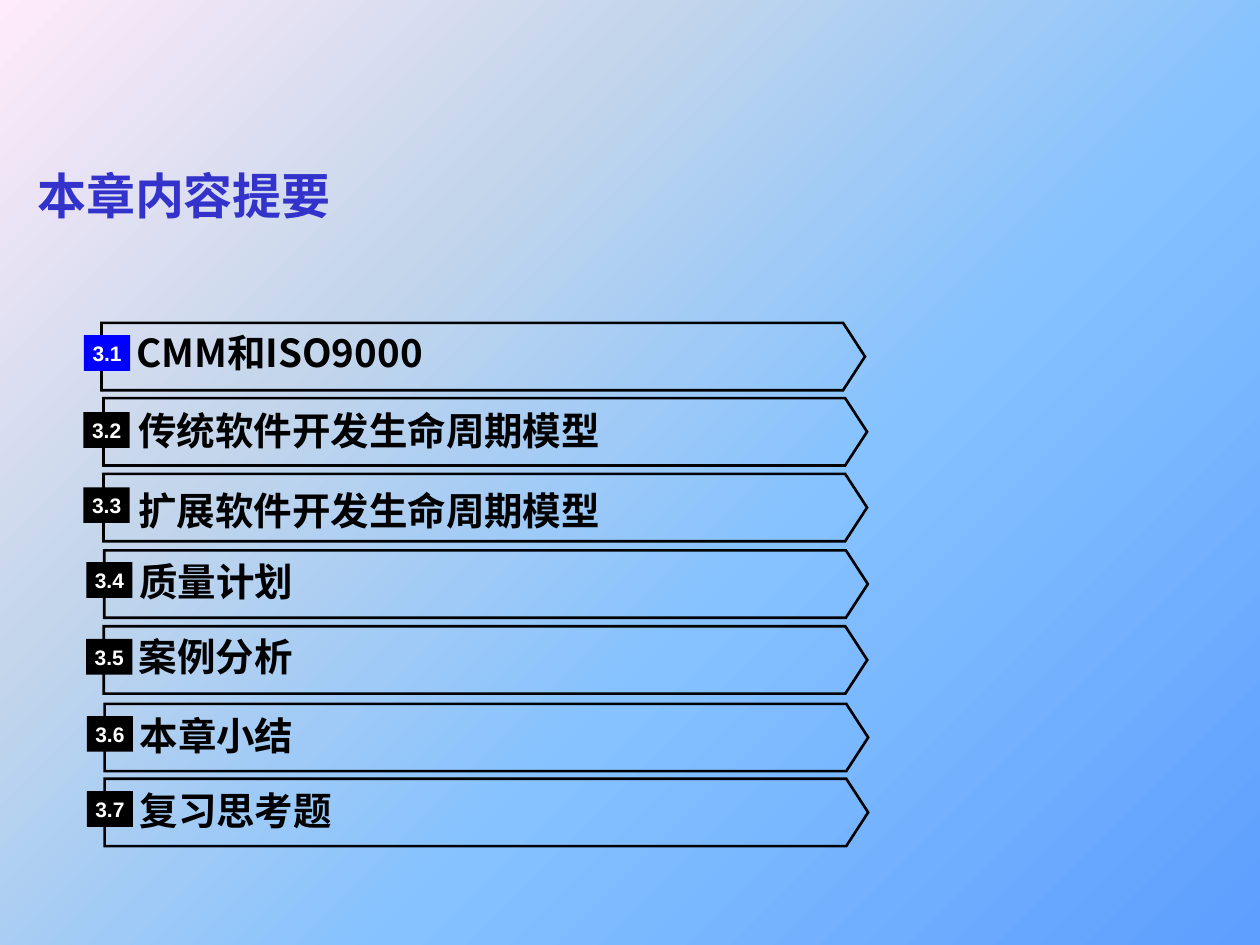
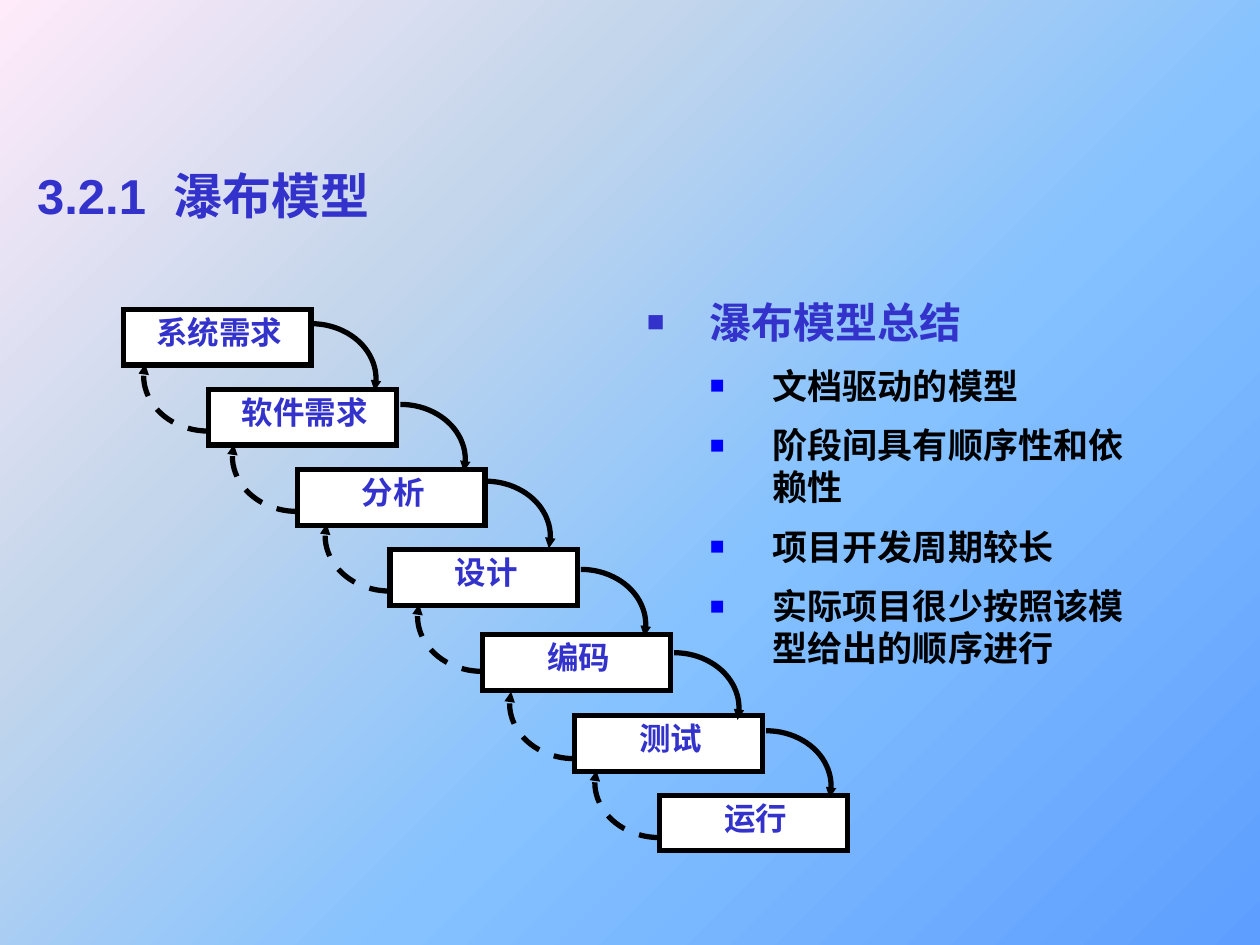
from math import cos, radians, sin

from lxml.etree import SubElement
from pptx import Presentation
from pptx.dml.color import RGBColor
from pptx.enum.dml import MSO_LINE
from pptx.enum.shapes import MSO_SHAPE
from pptx.enum.text import MSO_ANCHOR, PP_ALIGN
from pptx.oxml import parse_xml
from pptx.oxml.ns import nsdecls, qn
from pptx.util import Pt

TITLE_BLUE, BULLET_BLUE, BLACK, WHITE = "3333CC", "0000FF", "000000", "FFFFFF"
CJK_FONT = "Noto Sans CJK SC"
BACKGROUND = [(0, "5E9EFF"), (40, "85C2FF"), (70, "C4D6EB"), (100, "FFEBFA")]


def write(paragraph, text, size, colour, font, align=PP_ALIGN.LEFT):
    """Fill a paragraph with bold text in one style."""
    paragraph.text = text
    paragraph.alignment = align
    paragraph.font.size = Pt(size)
    paragraph.font.bold = True
    paragraph.font.color.rgb = RGBColor.from_string(colour)
    paragraph.font.name = font
    defaults = paragraph._p.pPr.find(qn("a:defRPr"))
    SubElement(defaults, qn("a:ea")).set("typeface", CJK_FONT)
    return defaults


def add_box(page, kind, left, top, width, height, fill=None, line=0, inset=0):
    """Add a shape, or a text box when kind is None."""
    place = Pt(left), Pt(top), Pt(width), Pt(height)
    if kind is None:
        box = page.shapes.add_textbox(*place)
    else:
        box = page.shapes.add_shape(kind, *place)
        box.shadow.inherit = False
        if fill:
            box.fill.solid()
            box.fill.fore_color.rgb = RGBColor.from_string(fill)
        else:
            box.fill.background()
        if line:
            box.line.color.rgb = RGBColor.from_string(BLACK)
            box.line.width = Pt(line)
            SubElement(box.line._get_or_add_ln(), qn("a:miter"), lim="800000")
        else:
            box.line.fill.background()
    frame = box.text_frame
    frame.word_wrap = True
    frame.vertical_anchor = MSO_ANCHOR.MIDDLE
    frame.margin_left = frame.margin_right = Pt(inset)
    frame.margin_top = frame.margin_bottom = Pt(inset / 2)
    return box


deck = Presentation()
deck.slide_width, deck.slide_height = Pt(720), Pt(540)

# Shared background: diagonal gradient on the master
background = deck.slide_master.background.fill
background.gradient()
gradient = deck.slide_master._element.find(".//" + qn("a:gradFill"))
stops = gradient.find(qn("a:gsLst"))
for stop in list(stops):
    stops.remove(stop)
for position, colour in BACKGROUND:
    stop = SubElement(stops, qn("a:gs"), pos=str(position * 1000))
    SubElement(stop, qn("a:srgbClr"), val=colour)
direction = gradient.find(qn("a:lin"))
direction.set("ang", str(225 * 60000))
direction.set("scaled", "0")

# Both pages with their titles
pages = []
for title in ["本章内容提要", "3.2.1  瀑布模型"]:
    page = deck.slides.add_slide(deck.slide_layouts[6])
    box = add_box(page, None, 14.2, 83.4, 692, 56.5, inset=7.2)
    write(box.text_frame.paragraphs[0], title, 28, TITLE_BLUE, "Arial")
    pages.append(page)
contents, waterfall = pages

# Contents: section, plate left and top, badge left and top, text top
sections = [
    ("CMM和ISO9000", 58, 184.5, 48, 191.5, 187),
    ("传统软件开发生命周期模型", 59.2, 227.5, 47.7, 235.6, 231.6),
    ("扩展软件开发生命周期模型", 59.2, 270.8, 47.7, 278.5, 277),
    ("质量计划", 59.6, 314.5, 49.3, 321.3, 317.5),
    ("案例分析", 59.3, 357.9, 49.2, 365.1, 360.6),
    ("本章小结", 59.8, 402.2, 49.6, 409.2, 405.4),
    ("复习思考题", 59.8, 445, 49.6, 452.1, 448.3),
]
for number, section in enumerate(sections, 1):
    name, left, top, badge_left, badge_top, text_top = section
    plate = add_box(contents, MSO_SHAPE.PENTAGON, left, top, 436.3, 38.5, line=1.5)
    plate.adjustments[0] = 0.325
    label = add_box(contents, None, left + 20, text_top, 387.4, 28.8)
    font = CJK_FONT if number == 1 else "Times New Roman"
    write(label.text_frame.paragraphs[0], name, 22, BLACK, font)
    badge = add_box(contents, MSO_SHAPE.RECTANGLE, badge_left, badge_top, 26.4, 20.4,
                    fill=BULLET_BLUE if number == 1 else BLACK)
    write(badge.text_frame.paragraphs[0], f"3.{number}", 12, WHITE, "Arial",
          PP_ALIGN.CENTER)

# Waterfall: stage, box left and top
stages = [
    ("系统需求", 70.5, 176.9), ("软件需求", 119.2, 222.7), ("分析", 169.9, 268.5),
    ("设计", 222.9, 314.2), ("编码", 275.7, 362.8), ("测试", 328.3, 409),
    ("运行", 377, 454.5),
]
for name, left, top in stages:
    box = add_box(waterfall, MSO_SHAPE.RECTANGLE, left, top, 107.3, 31.7,
                  fill=WHITE, line=3)
    box.text_frame.margin_left = Pt(2.5)
    box.text_frame.margin_bottom = Pt(6.5)
    write(box.text_frame.paragraphs[0], name, 18, TITLE_BLUE, "Times New Roman",
          PP_ALIGN.CENTER)

# Arcs: start of each step forward, height of each dashed step back
forward = [(177.8, 185), (228.8, 231.1), (277.4, 275), (331.9, 325.4),
           (385.2, 373), (437.8, 417.6)]
back = [246.4, 292.3, 337.8, 383.7, 433.6, 478.7]
radius_x, radius_y, sweep, steps = 37.1, 31.6, 102.4, 24
for (start_x, start_y), (_, next_left, _), back_y in zip(forward, stages[1:], back):
    for centre_x, centre_y, start, dashed in [
        (start_x, start_y + radius_y, -90, False),
        (next_left, back_y - radius_y, 90, True),
    ]:
        angles = [radians(start + sweep * step / steps) for step in range(steps + 1)]
        points = [(Pt(centre_x + radius_x * cos(angle)),
                   Pt(centre_y + radius_y * sin(angle))) for angle in angles]
        builder = waterfall.shapes.build_freeform(*points[0])
        builder.add_line_segments(points[1:], close=False)
        arc = builder.convert_to_shape()
        arc.shadow.inherit = False
        arc.fill.background()
        arc.line.color.rgb = RGBColor.from_string(BLACK)
        arc.line.width = Pt(3)
        if dashed:
            arc.line.dash_style = MSO_LINE.DASH
        SubElement(arc.line._get_or_add_ln(), qn("a:tailEnd"),
                   type="triangle", w="sm", len="sm")

# Summary list: text, level
summary = [
    ("瀑布模型总结", 0), ("文档驱动的模型", 1), ("阶段间具有顺序性和依赖性", 1),
    ("项目开发周期较长", 1), ("实际项目很少按照该模型给出的顺序进行", 1),
]
box = add_box(waterfall, None, 362.5, 165.6, 289.4, 228, inset=7.2)
frame = box.text_frame
frame.vertical_anchor = MSO_ANCHOR.TOP
for index, (text, level) in enumerate(summary):
    paragraph = frame.add_paragraph() if index else frame.paragraphs[0]
    size, colour, font, bullet_colour, spacing = [
        (24, TITLE_BLUE, "Times New Roman", TITLE_BLUE, 29),
        (20, BLACK, CJK_FONT, BULLET_BLUE, 24),
    ][level]
    defaults = write(paragraph, text, size, colour, font)
    paragraph.level = level
    paragraph.line_spacing = Pt(spacing)
    paragraph.space_before = Pt(10 if index else 0)
    paragraph._p.pPr.set("marL", str(Pt(36 * (level + 1))))
    paragraph._p.pPr.set("indent", str(Pt(-36)))
    for bullet in [
        f'<a:buClr {nsdecls("a")}><a:srgbClr val="{bullet_colour}"/></a:buClr>',
        f'<a:buSzPct {nsdecls("a")} val="70000"/>',
        f'<a:buFont {nsdecls("a")} typeface="Arial"/>',
        f'<a:buChar {nsdecls("a")} char="■"/>',
    ]:
        defaults.addprevious(parse_xml(bullet))

deck.save("out.pptx")
